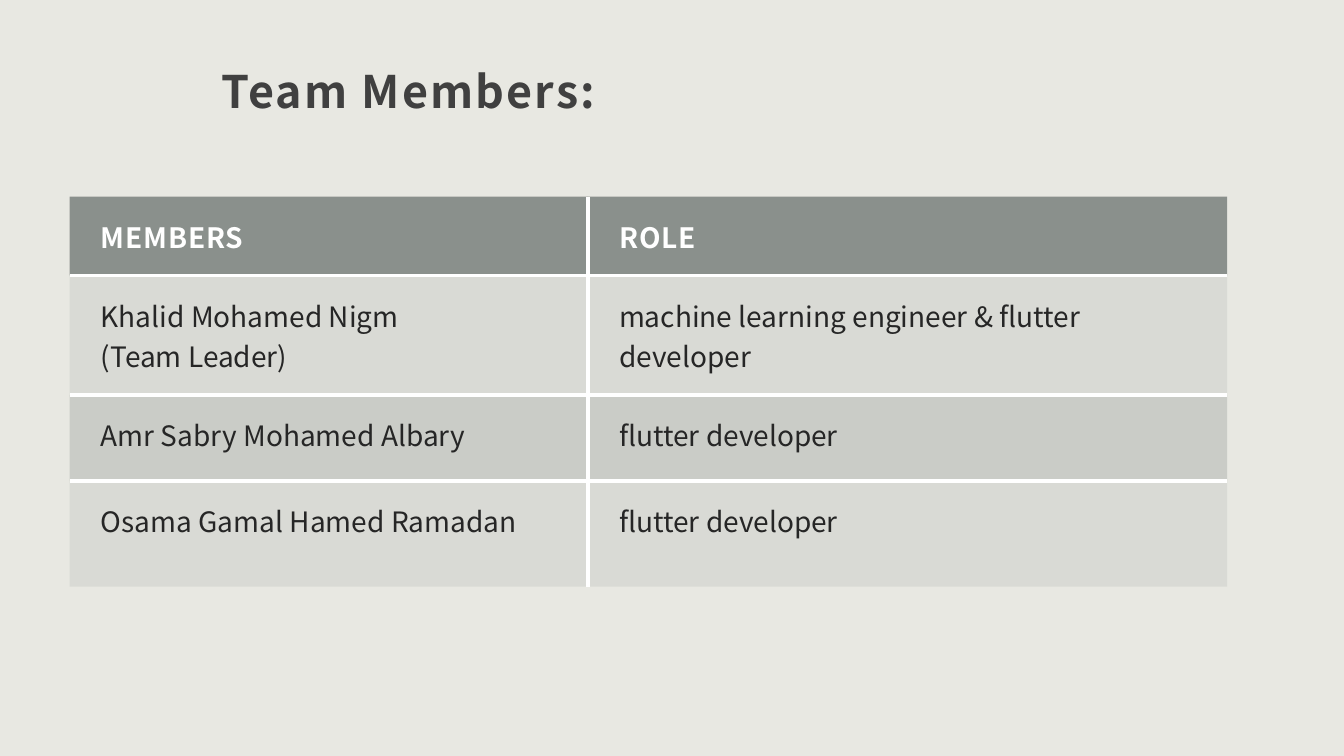
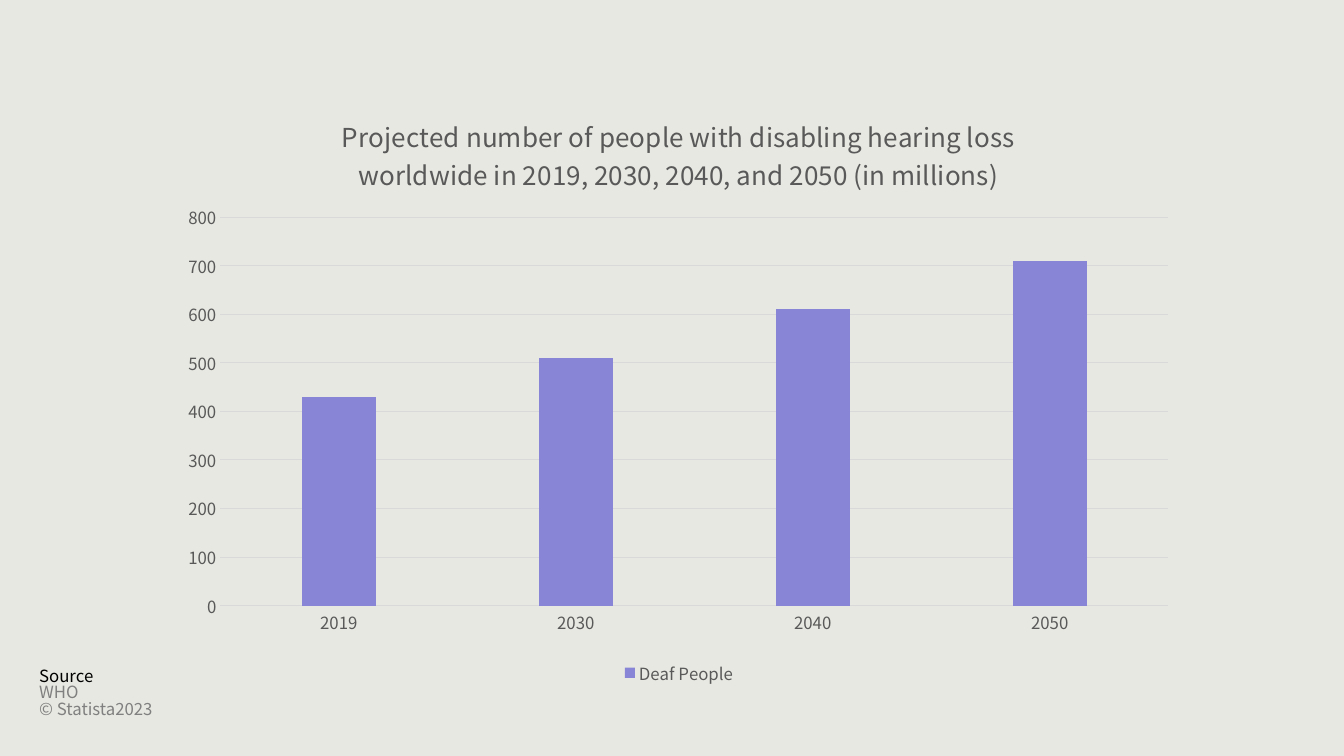
"""Build a team members table slide and a hearing loss chart slide."""
from dataclasses import dataclass
from typing import Optional

import lxml.etree
import pptx
import pptx.chart.data
import pptx.dml.color
import pptx.enum.chart
import pptx.enum.text
import pptx.oxml.ns
import pptx.util

Inches = pptx.util.Inches
Pt = pptx.util.Pt
RGBColor = pptx.dml.color.RGBColor
qn = pptx.oxml.ns.qn

FONT_NAME = "Noto Sans CJK JP"
BACKGROUND = RGBColor(0xE8, 0xE8, 0xE2)
TITLE_COLOR = RGBColor(0x40, 0x40, 0x40)
HEADER_FILL = RGBColor(0x63, 0x6B, 0x68)
ROW_FILL = RGBColor(0x87, 0x8E, 0x8B)
BODY_COLOR = RGBColor(0x26, 0x26, 0x26)
WHITE = RGBColor(0xFF, 0xFF, 0xFF)
BLACK = RGBColor(0x00, 0x00, 0x00)
SOURCE_GRAY = RGBColor(0x80, 0x80, 0x80)
CHART_GRAY = RGBColor(0x59, 0x59, 0x59)
GRID_GRAY = RGBColor(0xD9, 0xD9, 0xD9)
BAR_COLOR = RGBColor(0x88, 0x85, 0xD7)

COLUMN_WIDTHS = (5.14, 6.34)
BORDER_WIDTH = Pt(3)


@dataclass(frozen=True)
class TextStyle:
    size: float
    color: RGBColor
    bold: bool = False
    spacing: float = 0


@dataclass(frozen=True)
class TableRow:
    height: float
    texts: tuple[str, str]
    opacity: int
    fill: RGBColor = ROW_FILL
    style: TextStyle = TextStyle(20, BODY_COLOR)
    anchor: pptx.enum.text.MSO_ANCHOR = pptx.enum.text.MSO_ANCHOR.TOP


TITLE_STYLE = TextStyle(32, TITLE_COLOR, True, 1.5)
HEADER_STYLE = TextStyle(20, WHITE, True, 0.6)
CHART_TITLE_STYLE = TextStyle(18.6, CHART_GRAY)
CHART_LABEL_STYLE = TextStyle(12, CHART_GRAY)

TEAM_ROWS = (
    TableRow(0.45, ("MEMBERS", "ROLE"), 70, HEADER_FILL, HEADER_STYLE,
             pptx.enum.text.MSO_ANCHOR.MIDDLE),
    TableRow(0.85, ("Khalid Mohamed Nigm\n(Team Leader)",
                    "machine learning engineer & flutter developer"), 15),
    TableRow(0.85, ("Amr Sabry Mohamed Albary", "flutter developer"), 30),
    TableRow(1.05, ("Osama Gamal Hamed Ramadan", "flutter developer"), 15),
)
SOURCE_LINES = (("Source", BLACK), ("WHO", SOURCE_GRAY), ("© Statista2023", SOURCE_GRAY))


def format_font(font: pptx.text.text.Font, style: TextStyle) -> None:
    """Apply the deck font and a text style."""
    font.name = FONT_NAME
    font.size = Pt(style.size)
    font.bold = style.bold
    font.color.rgb = style.color


def format_paragraph(paragraph: pptx.text.text._Paragraph, style: TextStyle) -> None:
    """Format every run of a paragraph, letter spacing included."""
    for run in paragraph.runs:
        format_font(run.font, style)
        if style.spacing:
            run._r.get_or_add_rPr().set("spc", str(round(style.spacing * 100)))


def add_border(properties: lxml.etree.ElementBase, position: int, side: str,
               color: Optional[RGBColor]) -> None:
    """Insert one cell border, or an empty one when no color is given."""
    line = lxml.etree.Element(qn(f"a:{side}"), w=str(int(BORDER_WIDTH)))
    if color is None:
        lxml.etree.SubElement(line, qn("a:noFill"))
    else:
        fill = lxml.etree.SubElement(line, qn("a:solidFill"))
        lxml.etree.SubElement(fill, qn("a:srgbClr"), val=str(color))
    properties.insert(position, line)


def format_cell(cell: pptx.table._Cell, row: TableRow, inner_sides: dict[str, bool]) -> None:
    """Set the fill, margins, borders and text format of a cell."""
    cell.margin_left = Inches(0.31)
    cell.margin_right = cell.margin_top = cell.margin_bottom = Inches(0.19)
    cell.vertical_anchor = row.anchor
    cell.fill.solid()
    cell.fill.fore_color.rgb = row.fill
    properties = cell._tc.get_or_add_tcPr()
    color = properties.find(f"{qn('a:solidFill')}/{qn('a:srgbClr')}")
    lxml.etree.SubElement(color, qn("a:alpha"), val=str(row.opacity * 1000))
    for position, (side, is_inner) in enumerate(inner_sides.items()):
        add_border(properties, position, side, WHITE if is_inner else None)
    for paragraph in cell.text_frame.paragraphs:
        format_paragraph(paragraph, row.style)


def add_title(slide: pptx.slide.Slide, text: str) -> None:
    """Fill and place the title placeholder."""
    title = slide.shapes.title
    title.left, title.top = Inches(2.1), Inches(0.48)
    title.width, title.height = Inches(9.59), Inches(1.47)
    text_frame = title.text_frame
    text_frame.text = text
    text_frame.word_wrap = True
    text_frame.auto_size = pptx.enum.text.MSO_AUTO_SIZE.NONE
    text_frame.vertical_anchor = pptx.enum.text.MSO_ANCHOR.TOP
    text_frame.margin_top = Inches(0.15)
    paragraph = text_frame.paragraphs[0]
    paragraph.alignment = pptx.enum.text.PP_ALIGN.LEFT
    format_paragraph(paragraph, TITLE_STYLE)


def add_team_table(slide: pptx.slide.Slide) -> None:
    """Draw the table of members and roles."""
    row_count, column_count = len(TEAM_ROWS), len(COLUMN_WIDTHS)
    table = slide.shapes.add_table(
        row_count, column_count, Inches(0.69), Inches(1.95),
        Inches(sum(COLUMN_WIDTHS)), Inches(sum(row.height for row in TEAM_ROWS))).table
    for column, width in zip(table.columns, COLUMN_WIDTHS):
        column.width = Inches(width)
    for row_index, row in enumerate(TEAM_ROWS):
        table.rows[row_index].height = Inches(row.height)
        for column_index, text in enumerate(row.texts):
            cell = table.cell(row_index, column_index)
            cell.text_frame.text = text
            format_cell(cell, row, {
                "lnL": column_index > 0,
                "lnR": column_index < column_count - 1,
                "lnT": row_index > 0,
                "lnB": row_index < row_count - 1,
            })


def set_plot_layout(chart: pptx.chart.chart.Chart, x: float, y: float,
                    w: float, h: float) -> None:
    """Fix the inner plot area as fractions of the chart."""
    plot_area = chart._chartSpace.chart.plotArea
    layout = plot_area.find(qn("c:layout"))
    if layout is None:
        layout = lxml.etree.Element(qn("c:layout"))
        plot_area.insert(0, layout)
    manual = lxml.etree.SubElement(layout, qn("c:manualLayout"))
    settings = {"layoutTarget": "inner", "xMode": "edge", "yMode": "edge",
                "x": x, "y": y, "w": w, "h": h}
    for name, value in settings.items():
        lxml.etree.SubElement(manual, qn(f"c:{name}"), val=str(value))


def format_axis(axis: pptx.chart.axis._BaseAxis) -> None:
    """Apply the shared axis label style and hide tick marks."""
    axis.major_tick_mark = axis.minor_tick_mark = pptx.enum.chart.XL_TICK_MARK.NONE
    format_font(axis.tick_labels.font, CHART_LABEL_STYLE)


def add_hearing_chart(slide: pptx.slide.Slide) -> None:
    """Draw the column chart of projected hearing loss."""
    chart_data = pptx.chart.data.CategoryChartData()
    chart_data.categories = ("2019", "2030", "2040", "2050")
    chart_data.add_series("Deaf People", (430, 510, 610, 710))
    chart = slide.shapes.add_chart(
        pptx.enum.chart.XL_CHART_TYPE.COLUMN_CLUSTERED, Inches(1.68), Inches(0.91),
        Inches(10.11), Inches(5.93), chart_data).chart
    format_font(chart.font, TextStyle(10, BLACK))

    chart.has_title = True
    title_frame = chart.chart_title.text_frame
    title_frame.text = ("Projected number of people with disabling hearing loss "
                        "worldwide in 2019, 2030, 2040, and 2050 (in millions)")
    format_paragraph(title_frame.paragraphs[0], CHART_TITLE_STYLE)
    chart.chart_title.include_in_layout = False

    chart.has_legend = True
    chart.legend.position = pptx.enum.chart.XL_LEGEND_POSITION.BOTTOM
    chart.legend.include_in_layout = False
    format_font(chart.legend.font, CHART_LABEL_STYLE)

    format_axis(chart.category_axis)
    format_axis(chart.value_axis)
    chart.value_axis.minimum_scale, chart.value_axis.maximum_scale = 0, 800
    chart.value_axis.major_unit = 100
    chart.value_axis.format.line.fill.background()
    chart.value_axis.has_major_gridlines = True
    for line in (chart.category_axis.format.line, chart.value_axis.major_gridlines.format.line):
        line.color.rgb = GRID_GRAY
        line.width = Pt(0.75)

    plot = chart.plots[0]
    plot.vary_by_categories = False
    plot.gap_width, plot.overlap = 219, -27
    bar_fill = plot.series[0].format.fill
    bar_fill.solid()
    bar_fill.fore_color.rgb = BAR_COLOR
    set_plot_layout(chart, 0.05, 0.21, 0.93, 0.65)


def add_source(slide: pptx.slide.Slide) -> None:
    """Write the source note at the lower left."""
    text_box = slide.shapes.add_textbox(Inches(0.29), Inches(6.59), Inches(2.07), Inches(0.8))
    text_frame = text_box.text_frame
    text_frame.word_wrap = True
    text_frame.text = "\n".join(text for text, _ in SOURCE_LINES)
    for paragraph, (_, color) in zip(text_frame.paragraphs, SOURCE_LINES):
        paragraph.line_spacing = 0.82
        format_paragraph(paragraph, TextStyle(12, color))


def main() -> None:
    """Build and save the presentation."""
    presentation = pptx.Presentation()
    presentation.slide_width, presentation.slide_height = Inches(13.33), Inches(7.5)
    background = presentation.slide_master.background.fill
    background.solid()
    background.fore_color.rgb = BACKGROUND

    layouts = presentation.slide_layouts
    team_slide = presentation.slides.add_slide(layouts.get_by_name("Title Only"))
    add_title(team_slide, "Team Members:")
    add_team_table(team_slide)

    chart_slide = presentation.slides.add_slide(layouts.get_by_name("Blank"))
    add_hearing_chart(chart_slide)
    add_source(chart_slide)
    presentation.save("out.pptx")


if __name__ == "__main__":
    main()
